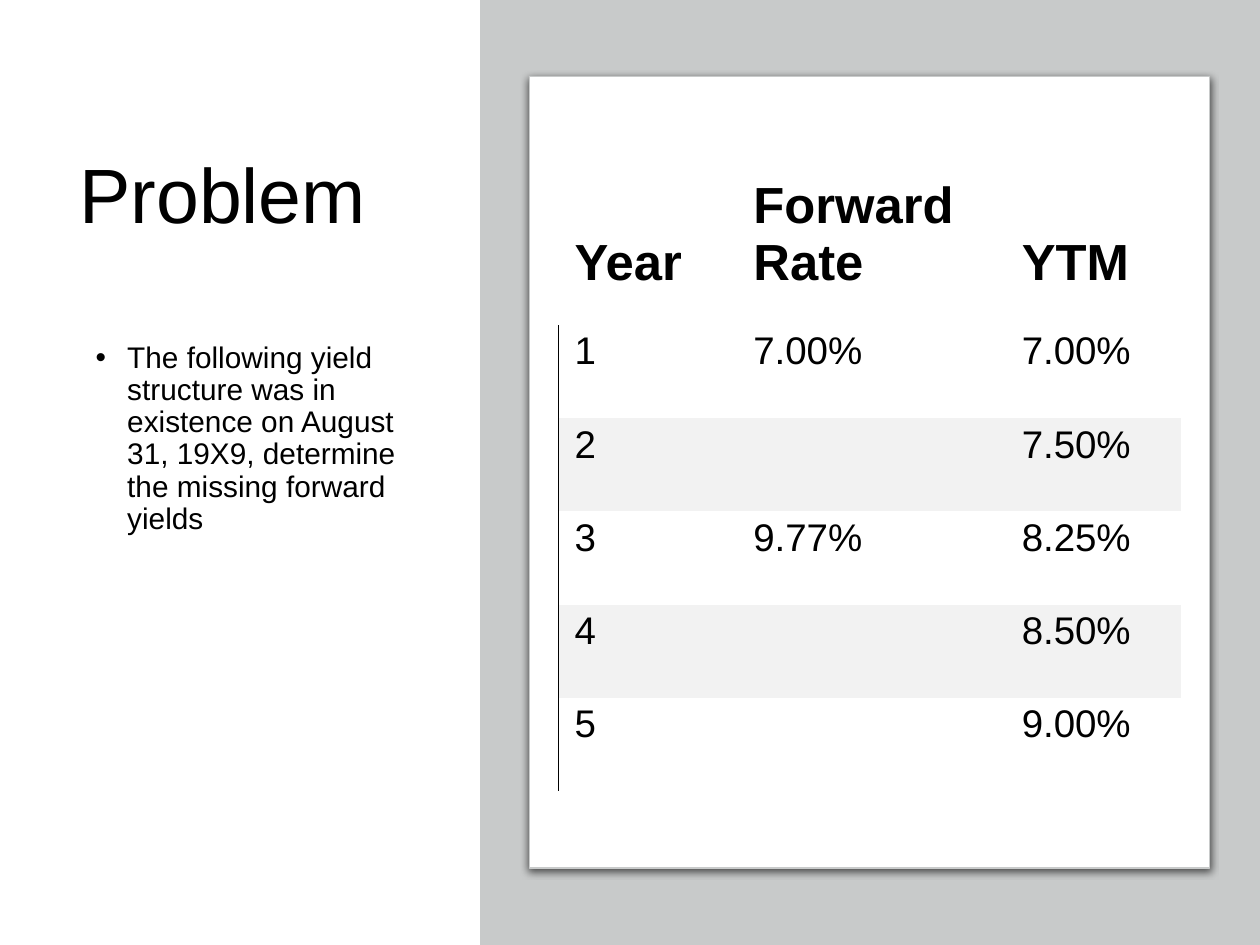
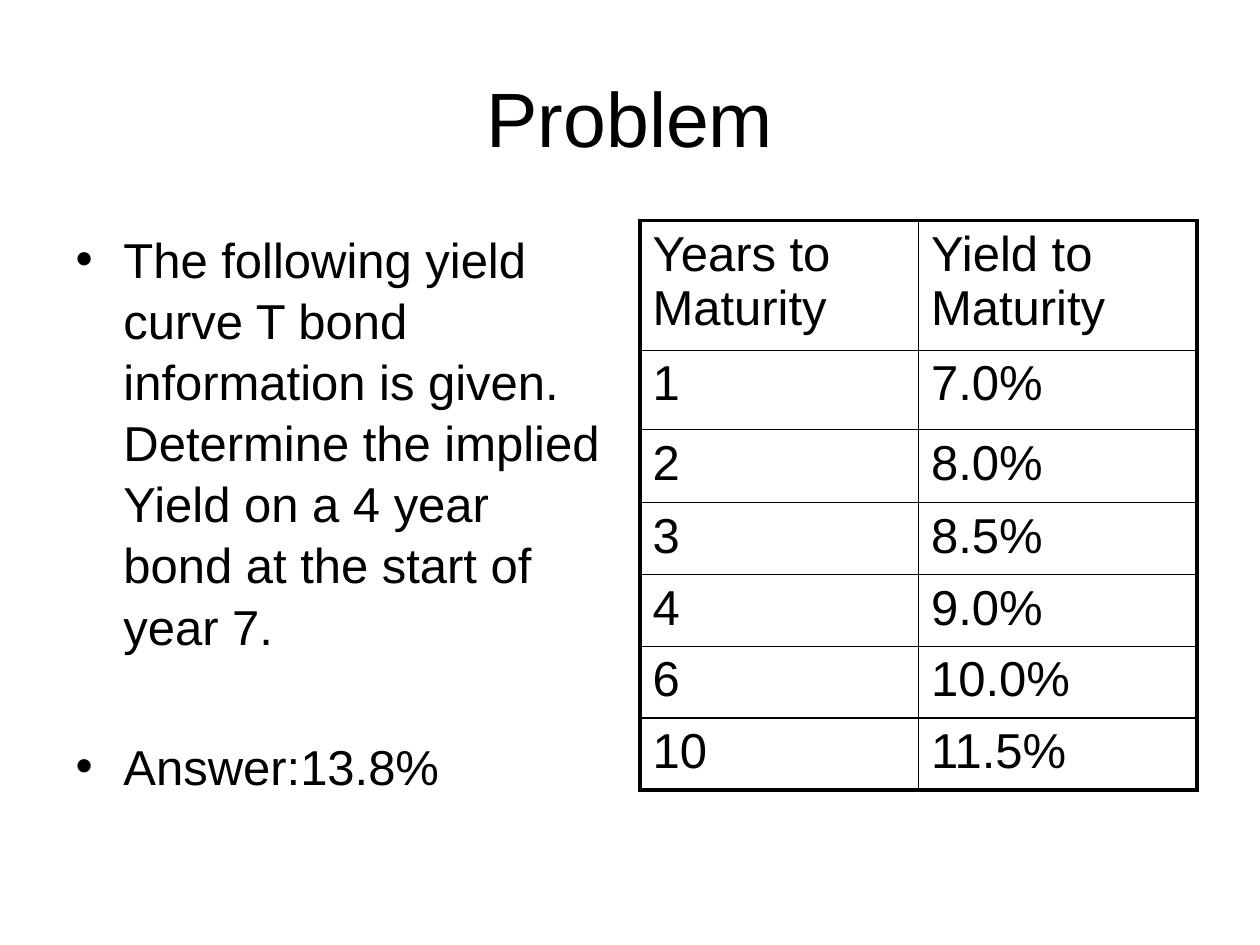
from pptx import Presentation
from pptx.dml.color import RGBColor
from pptx.enum import shapes, text
from pptx.oxml import parse_xml
from pptx.oxml.ns import nsdecls
from pptx.util import Inches, Pt

FONT = "Arial"
BLACK, WHITE, GREY, BAND = "000000", "FFFFFF", "C8CACA", "F2F2F2"
PLAIN = "{2D5ABB26-0587-4C30-8999-92F81FD0307C}"  # table style without grid
LEFT, CENTER = text.PP_ALIGN.LEFT, text.PP_ALIGN.CENTER
TOP, MIDDLE, BOTTOM = (text.MSO_ANCHOR.TOP, text.MSO_ANCHOR.MIDDLE,
                       text.MSO_ANCHOR.BOTTOM)

TITLE = "Problem"
FORWARD = {
    "list": ["The following yield structure was in existence on August 31, "
             "19X9, determine the missing forward yields"],
    "rows": [("Year", "Forward Rate", "YTM"),
             ("1", "7.00%", "7.00%"),
             ("2", "", "7.50%"),
             ("3", "9.77%", "8.25%"),
             ("4", "", "8.50%"),
             ("5", "", "9.00%")],
    "widths": [1.42, 2.13, 1.39],
    "heights": [1.34] + [0.74] * 5,
}
IMPLIED = {
    "list": ["The following yield curve T bond information is given. "
             "Determine the implied Yield on a 4 year bond at the start "
             "of year 7.",
             "Answer:13.8%"],
    "rows": [("Years to Maturity", "Yield to Maturity"),
             ("1", "7.0%"), ("2", "8.0%"), ("3", "8.5%"),
             ("4", "9.0%"), ("6", "10.0%"), ("10", "11.5%")],
    "widths": [2.21, 2.21],
    "heights": [1.03, 0.63, 0.58] + [0.57] * 4,
}


def color(code):
    return RGBColor.from_string(code)


def write(frame, lines, size=18, bold=False, align=LEFT, anchor=TOP,
          leading=1.0, gap=0, indent=None):
    """Fill a frame; gap is the space between paragraphs in points,
    indent the (margin, first line) pair of a list in inches."""
    frame.word_wrap = True
    frame.vertical_anchor = anchor
    for i, line in enumerate(lines):
        para = frame.add_paragraph() if i else frame.paragraphs[0]
        if indent:
            props = para._p.get_or_add_pPr()
            props.set("marL", str(Inches(indent[0])))
            props.set("indent", str(Inches(indent[1])))
        para.alignment = align
        para.line_spacing = leading
        para.space_before = Pt(gap if i else 0)
        run = para.add_run()
        run.text = line
        font = run.font
        font.name, font.size, font.bold = FONT, Pt(size), bold
        font.color.rgb = color(BLACK)


def place(shape, box):
    shape.left, shape.top, shape.width, shape.height = map(Inches, box)
    shape.text_frame.auto_size = text.MSO_AUTO_SIZE.NONE
    return shape.text_frame


def add_slide(deck, title_box, body_box):
    """Return a new slide with its title and body frames."""
    slide = deck.slides.add_slide(deck.slide_layouts[1])
    return (slide, place(slide.shapes.title, title_box),
            place(slide.placeholders[1], body_box))


def add_rect(slide, box, fill, line=None):
    rect = slide.shapes.add_shape(shapes.MSO_SHAPE.RECTANGLE,
                                  *map(Inches, box))
    rect.shadow.inherit = False
    rect.fill.solid()
    rect.fill.fore_color.rgb = color(fill)
    if line:
        rect.line.color.rgb = color(line)
        rect.line.width = Pt(0.75)
    else:
        rect.line.fill.background()
    return rect


def cast_shadow(shape):
    effects = shape._element.spPr.find(
        "{http://schemas.openxmlformats.org/drawingml/2006/main}effectLst")
    effects.append(parse_xml(
        f'<a:outerShdw {nsdecls("a")} blurRad="{Pt(4.5)}" dist="{Pt(1.5)}" '
        f'dir="5400000" algn="t" rotWithShape="0"><a:srgbClr val="{BLACK}">'
        '<a:alpha val="63000"/></a:srgbClr></a:outerShdw>'))


def set_edges(cell, edges):
    """Draw the given sides; edges maps L, R, T, B to points."""
    props = cell._tc.get_or_add_tcPr()
    for side in "LRTB":
        if side in edges:
            props.append(parse_xml(
                f'<a:ln{side} {nsdecls("a")} w="{Pt(edges[side])}">'
                f'<a:solidFill><a:srgbClr val="{BLACK}"/></a:solidFill>'
                f'</a:ln{side}>'))


def add_grid(slide, left, top, data, inset, edges, style, fill):
    """Add a table; edges, style and fill are rules of row and column."""
    rows, widths, heights = data["rows"], data["widths"], data["heights"]
    frame = slide.shapes.add_table(
        len(rows), len(widths), Inches(left), Inches(top),
        Inches(sum(widths)), Inches(sum(heights)))
    table = frame.table
    table._tbl.tblPr[0].text = PLAIN
    table.first_row = table.horz_banding = False
    for col, width in zip(table.columns, widths):
        col.width = Inches(width)
    for row, height in zip(table.rows, heights):
        row.height = Inches(height)
    for r, row in enumerate(rows):
        for c, value in enumerate(row):
            cell = table.cell(r, c)
            (cell.margin_left, cell.margin_top, cell.margin_right,
             cell.margin_bottom) = map(Inches, inset)
            set_edges(cell, edges(r, c))
            shade = fill(r)
            if shade:
                cell.fill.solid()
                cell.fill.fore_color.rgb = color(shade)
            else:
                cell.fill.background()
            form = style(r)
            cell.vertical_anchor = form.get("anchor", TOP)
            if value:
                write_cell(cell, value, form)


def write_cell(cell, value, form):
    write(cell.text_frame, [value], **form)
    cell.text_frame.word_wrap = None


def add_forward(deck):
    slide, title, body = add_slide(deck, (0.53, 0.69, 2.88, 1.77),
                                   (0.53, 2.67, 2.88, 4.14))
    write(title, [TITLE], size=44, anchor=MIDDLE, leading=0.9)
    write(body, FORWARD["list"], size=17, leading=0.9, indent=(0.38, -0.25))
    add_rect(slide, (3.81, 0, 6.19, 7.5), GREY)
    cast_shadow(add_rect(slide, (4.2, 0.61, 5.4, 6.28), WHITE, line=GREY))
    head = dict(size=29, bold=True, anchor=BOTTOM)
    add_grid(slide, 4.43, 1.24, FORWARD, (0.13, 0.04, 0.18, 0.27),
             edges=lambda r, c: {"L": 0.75} if r and not c else {},
             style=lambda r: dict(size=22) if r else head,
             fill=lambda r: BAND if r and r % 2 == 0 else None)


def add_implied(deck):
    slide, title, body = add_slide(deck, (0.5, 0.3, 9, 1.25),
                                   (0.5, 1.75, 4.42, 4.95))
    write(title, [TITLE], size=44, align=CENTER, anchor=MIDDLE)
    write(body, IMPLIED["list"], size=28, leading=1.04, gap=45,
          indent=(0.38, -0.38))
    thick, thin = 2.25, 1
    last_row = len(IMPLIED["rows"]) - 1
    last_col = len(IMPLIED["widths"]) - 1

    def frame(r, c):
        outer = {"L": c == 0, "R": c == last_col,
                 "T": r == 0, "B": r == last_row}
        return {side: thick if out else thin for side, out in outer.items()}

    add_grid(slide, 5.08, 1.75, IMPLIED, (0.1, 0.05, 0.1, 0.05),
             edges=frame, style=lambda r: dict(size=28),
             fill=lambda r: None)


def main():
    deck = Presentation()
    deck.slide_width, deck.slide_height = Inches(10), Inches(7.5)
    add_forward(deck)
    add_implied(deck)
    deck.save("out.pptx")


if __name__ == "__main__":
    main()
